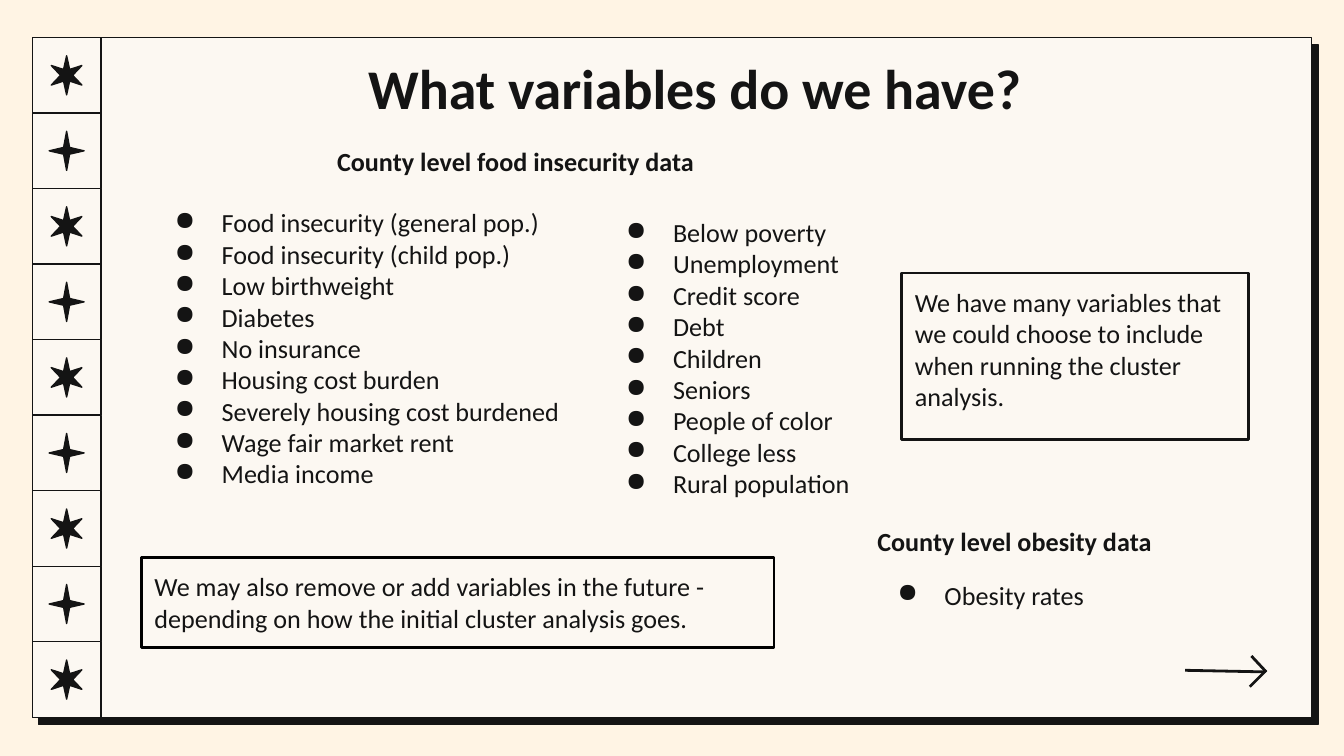
from dataclasses import dataclass

from lxml import etree
from pptx import Presentation
from pptx.dml.color import RGBColor
from pptx.enum.shapes import MSO_CONNECTOR, MSO_SHAPE
from pptx.enum.text import MSO_ANCHOR, PP_ALIGN
from pptx.oxml.ns import qn
from pptx.util import Cm, Pt

RECTANGLE = MSO_SHAPE.RECTANGLE
STAR_4, STAR_6 = MSO_SHAPE.STAR_4_POINT, MSO_SHAPE.STAR_6_POINT
STRAIGHT = MSO_CONNECTOR.STRAIGHT
TOP, BOTTOM = MSO_ANCHOR.TOP, MSO_ANCHOR.BOTTOM
LEFT, CENTER = PP_ALIGN.LEFT, PP_ALIGN.CENTER


@dataclass(frozen=True)
class Theme:
    font: str = "Calibri"
    backdrop: RGBColor = RGBColor(0xFF, 0xF4, 0xE4)
    paper: RGBColor = RGBColor(0xFC, 0xF8, 0xF2)
    ink: RGBColor = RGBColor(0x14, 0x14, 0x14)
    black: RGBColor = RGBColor(0, 0, 0)
    title: Pt = Pt(30)
    body: Pt = Pt(14)
    thin: Pt = Pt(0.75)
    thick: Pt = Pt(1.5)


theme = Theme()
deck = Presentation()
deck.slide_width, deck.slide_height = Cm(25.4), Cm(14.29)
page = deck.slides.add_slide(deck.slide_layouts[6])
page.background.fill.solid()
page.background.fill.fore_color.rgb = theme.backdrop


def add_filled(kind, left, top, width, height, color):
    shape = page.shapes.add_shape(kind, Cm(left), Cm(top), Cm(width), Cm(height))
    shape.fill.solid()
    shape.fill.fore_color.rgb = color
    shape.line.color.rgb = theme.ink
    shape.line.width = theme.thin
    shape.shadow.inherit = False
    return shape


def write(box, lines, size=theme.body, align=LEFT, anchor=TOP):
    """Fill a box with (text, bold, bulleted, space before) lines."""
    frame = box.text_frame
    frame.word_wrap = True
    frame.vertical_anchor = anchor
    frame.margin_left = frame.margin_right = Cm(0.25)
    frame.margin_top = frame.margin_bottom = Cm(0.25)
    for index, (text, bold, bulleted, before) in enumerate(lines):
        para = frame.paragraphs[0] if index == 0 else frame.add_paragraph()
        para.text = text
        para.alignment = align
        para.space_before = Pt(before)
        if bulleted:
            properties = para._p.get_or_add_pPr()
            properties.set("marL", str(Cm(1.27)))
            properties.set("indent", str(-Cm(0.89)))
            color = etree.SubElement(properties, qn("a:buClr"))
            etree.SubElement(color, qn("a:srgbClr"), val=str(theme.ink))
            etree.SubElement(properties, qn("a:buChar"), char="●")
        para.font.name = theme.font
        para.font.size = size
        para.font.bold = bold
        para.font.color.rgb = theme.ink


# Panel with a hard offset shadow
panel_left, panel_top, panel_width, panel_height = 0.61, 0.71, 24.18, 12.85
panel = add_filled(RECTANGLE, panel_left, panel_top, panel_width, panel_height, theme.paper)
effects = panel._element.spPr.find(qn("a:effectLst"))
shadow = etree.SubElement(effects, qn("a:outerShdw"), dist=str(Pt(5.2)),
                          dir=str(49 * 60000), algn="bl", rotWithShape="0")
etree.SubElement(shadow, qn("a:srgbClr"), val=str(theme.ink))

# Column of alternating stars
cell_count, cell_width = 9, 1.3
cell_height = panel_height / cell_count
star_height = 0.74
for row in range(cell_count):
    cell_top = panel_top + row * cell_height
    add_filled(RECTANGLE, panel_left, cell_top, cell_width, cell_height, theme.paper)
    kind, star_width, depth = (STAR_4, 0.66, 0.122) if row % 2 else (STAR_6, 0.58, 0.171)
    star = add_filled(kind, panel_left + (cell_width - star_width) / 2,
                      cell_top + (cell_height - star_height) / 2,
                      star_width, star_height, theme.ink)
    star.adjustments[0] = depth

# Arrow: shaft and two barbs
for start_x, start_y, end_x, end_y in (
    (23.9, 12.7, 22.4, 12.67),
    (23.93, 12.7, 23.65, 12.4),
    (23.93, 12.67, 23.62, 12.98),
):
    stroke = page.shapes.add_connector(STRAIGHT, Cm(start_x), Cm(start_y), Cm(end_x), Cm(end_y))
    stroke.line.color.rgb = theme.ink
    stroke.line.width = theme.thick
    etree.SubElement(stroke._element.spPr, qn("a:effectLst"))

# Headings and variable lists
title = page.shapes.add_textbox(Cm(2.67), Cm(0.76), Cm(20.93), Cm(1.6))
write(title, [("What variables do we have?", True, False, 0)], theme.title, CENTER)

food_heading = page.shapes.add_textbox(Cm(6.12), Cm(2.49), Cm(8.33), Cm(1.12))
write(food_heading, [("County level food insecurity data", True, False, 0)])

obesity = page.shapes.add_textbox(Cm(16.33), Cm(9.68), Cm(6.81), Cm(2.01))
write(obesity, [("County level obesity data", True, False, 0),
                ("Obesity rates", False, True, 12)])

health_and_housing = (
    "Food insecurity (general pop.)", "Food insecurity (child pop.)", "Low birthweight",
    "Diabetes", "No insurance", "Housing cost burden", "Severely housing cost burdened",
    "Wage fair market rent", "Media income",
)
demographics = (
    "Below poverty", "Unemployment", "Credit score", "Debt", "Children", "Seniors",
    "People of color", "College less", "Rural population",
)
for left, width, anchor, variables in (
    (2.67, 9.25, TOP, health_and_housing),
    (11.2, 8.33, BOTTOM, demographics),
):
    box = page.shapes.add_textbox(Cm(left), Cm(3.66), Cm(width), Cm(6.02))
    write(box, [(name, False, True, 0) for name in variables], anchor=anchor)

# Outlined remarks
for left, top, width, height, outline, remark in (
    (17.04, 5.16, 6.55, 3.15, theme.ink,
     "We have many variables that we could choose to include when running the cluster analysis."),
    (2.67, 10.54, 11.96, 1.7, theme.black,
     "We may also remove or add variables in the future - depending on how the initial "
     "cluster analysis goes."),
):
    box = add_filled(RECTANGLE, left, top, width, height, theme.paper)
    box.fill.background()
    box.line.color.rgb = outline
    box.line.width = theme.thick
    write(box, [(remark, False, False, 0)])

deck.save("out.pptx")
